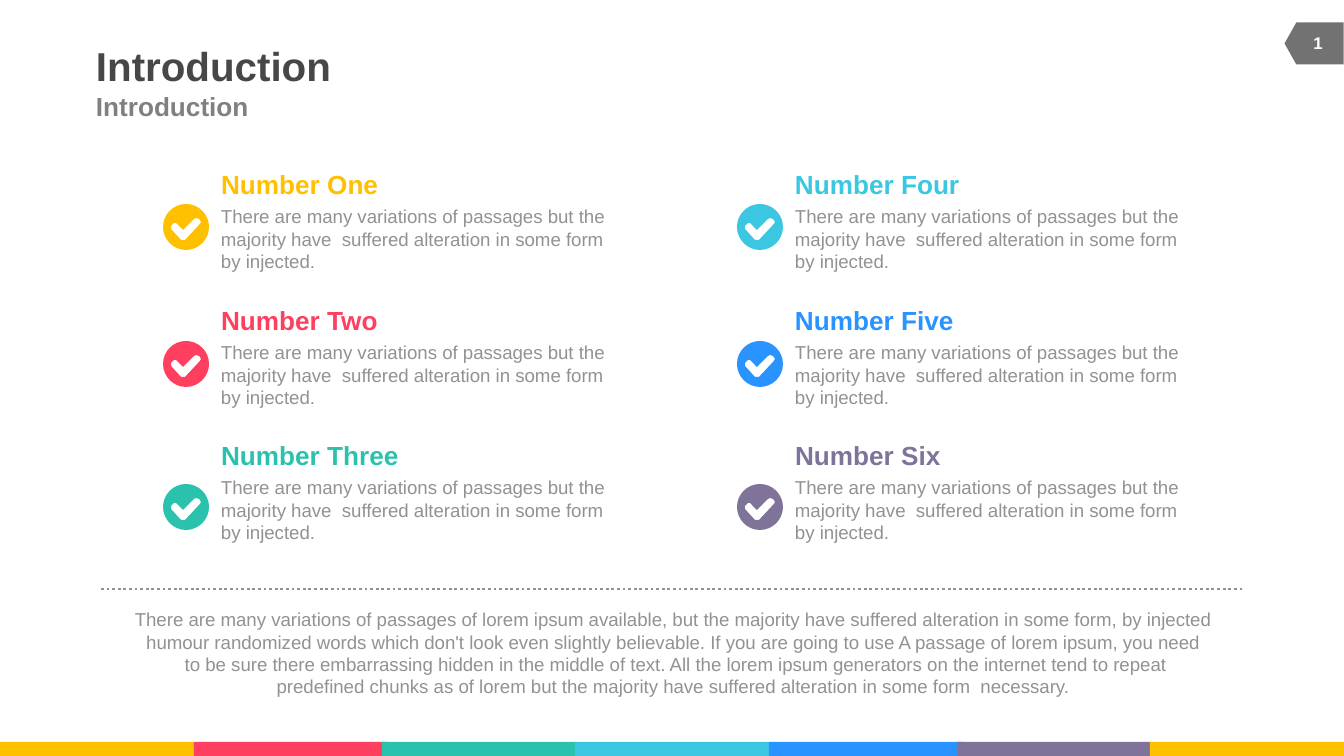
from lxml import etree
from pptx import Presentation
from pptx import util as u
from pptx.dml.color import RGBColor
from pptx.enum import dml, shapes, text
from pptx.oxml.ns import qn

PX = u.Inches(10) / 1344
COLORS = {
    "yellow": "FFC000", "red": "FF3F5F", "green": "2AC2AC",
    "cyan": "3BC7E2", "blue": "2993FF", "purple": "7F739A",
    "tag": "727272", "title": "474747", "subtitle": "808080",
    "body": "929292", "white": "FFFFFF",
}
CHECK = [(14, -7), (13, -8), (10, -9), (8, -8), (-3, 3), (-10, -4), (-12, -4),
         (-15, -1), (-15, 2), (-5, 13), (-1, 13), (14, -3), (15, -5)]
RADIUS = 23
COMPASS = [(0, RADIUS), (-RADIUS, 0), (0, -RADIUS), (RADIUS, 0), (0, RADIUS)]
BULGE = 0.55

deck = Presentation()
deck.slide_width = u.Emu(round(1344 * PX))
deck.slide_height = u.Emu(round(756 * PX))
slide = deck.slides.add_slide(deck.slide_layouts[6])


def paint(shape, color):
    shape.shadow.inherit = False
    shape.fill.solid()
    shape.fill.fore_color.rgb = RGBColor.from_string(COLORS[color])
    shape.line.fill.background()


def write(box, lines, size, color, bold=False, align=text.PP_ALIGN.LEFT,
          anchor=text.MSO_ANCHOR.TOP, wrap=True):
    frame = slide.shapes.add_textbox(*[round(n * PX) for n in box]).text_frame
    frame.word_wrap = wrap
    frame.vertical_anchor = anchor
    frame.margin_left = frame.margin_right = frame.margin_top = frame.margin_bottom = 0
    paragraph = frame.paragraphs[0]
    paragraph.alignment = align
    for index, line in enumerate(lines):
        if index:
            paragraph.add_line_break()
        run = paragraph.add_run()
        run.text = line
        run.font.name = "Arial"
        run.font.size = u.Pt(size)
        run.font.bold = bold
        run.font.color.rgb = RGBColor.from_string(COLORS[color])


stripes = [(0, "yellow"), (194, "red"), (382, "green"), (575, "cyan"),
           (769, "blue"), (957, "purple"), (1150, "yellow")]
for left, color in stripes:
    stripe = slide.shapes.add_shape(shapes.MSO_SHAPE.RECTANGLE, round(left * PX),
                                    round(742 * PX), round(194 * PX), round(14 * PX))
    paint(stripe, color)

page_tag = slide.shapes.add_shape(shapes.MSO_SHAPE.FLOWCHART_OFFPAGE_CONNECTOR,
                                  round(1293 * PX), round(14 * PX),
                                  round(42 * PX), round(59 * PX))
page_tag.rotation = 90
paint(page_tag, "tag")

middle = text.MSO_ANCHOR.MIDDLE
write((96, 39, 829, 53), ["Introduction"], 21.6, "title", True, anchor=middle)
write((96, 91, 605, 30), ["Introduction"], 14, "subtitle", True, anchor=middle)
write((1290, 23, 56, 40), ["1"], 9, "white", True, text.PP_ALIGN.CENTER, middle)

items = [("Number One", "yellow", 159), ("Number Two", "red", 157),
         ("Number Three", "green", 179), ("Number Four", "cyan", 165),
         ("Number Five", "blue", 160), ("Number Six", "purple", 146)]
summary = ["There are many variations of passages but the majority have  suffered "
           "alteration in some form", "by injected."]
heading_rows = [168, 304, 439]
badge_rows = [227, 364, 507]
for index, (heading, color, width) in enumerate(items):
    column, row = divmod(index, 3)
    left = 221 + 574 * column
    top = heading_rows[row]
    write((left, top, width, 32), [heading], 14, color, True, wrap=False)
    write((left, top + 37, 385, 67), summary, 10, "body")

    center_x, center_y = 186 + 574 * column, badge_rows[row]
    disc, tick = [[(round((center_x + x) * PX), round((center_y + y) * PX)) for x, y in outline]
                  for outline in (COMPASS, CHECK)]
    builder = slide.shapes.build_freeform(*disc[0])
    builder.add_line_segments(disc[1:], close=True)
    builder.move_to(*tick[0])
    builder.add_line_segments(tick[1:], close=True)
    badge = builder.convert_to_shape()
    paint(badge, color)

    sides = list(badge.element.iter(qn("a:lnTo")))[:4]
    for side, (x1, y1), (x2, y2) in zip(sides, COMPASS, COMPASS[1:]):
        corner_x, corner_y = x1 + x2, y1 + y2
        curve = etree.Element(qn("a:cubicBezTo"))
        for x, y in [(x1 + BULGE * (corner_x - x1), y1 + BULGE * (corner_y - y1)),
                     (x2 + BULGE * (corner_x - x2), y2 + BULGE * (corner_y - y2)),
                     (x2, y2)]:
            etree.SubElement(curve, qn("a:pt"), x=str(round((x + RADIUS) * PX)),
                             y=str(round((y + RADIUS) * PX)))
        side.getparent().replace(side, curve)

divider = slide.shapes.add_connector(shapes.MSO_CONNECTOR.STRAIGHT, round(101 * PX),
                                     round(589 * PX), round(1243 * PX), round(589 * PX))
divider.line.color.rgb = RGBColor.from_string(COLORS["body"])
divider.line.width = u.Pt(1.5)
divider.line.dash_style = dml.MSO_LINE.ROUND_DOT
etree.SubElement(divider.element.spPr, qn("a:effectLst"))

closing = [
    "There are many variations of passages of lorem ipsum available, but the majority have "
    "suffered alteration in some form, by injected humour randomized words which don't look "
    "even slightly believable. If you are going to use A passage of lorem ipsum, you need",
    " to be sure there embarrassing hidden in the middle of text. All the lorem ipsum "
    "generators on the internet tend to repeat",
    "predefined chunks as of lorem but the majority have suffered alteration in some form  "
    "necessary.",
]
write((102, 608, 1141, 90), closing, 10, "body", align=text.PP_ALIGN.CENTER)

deck.save("out.pptx")
